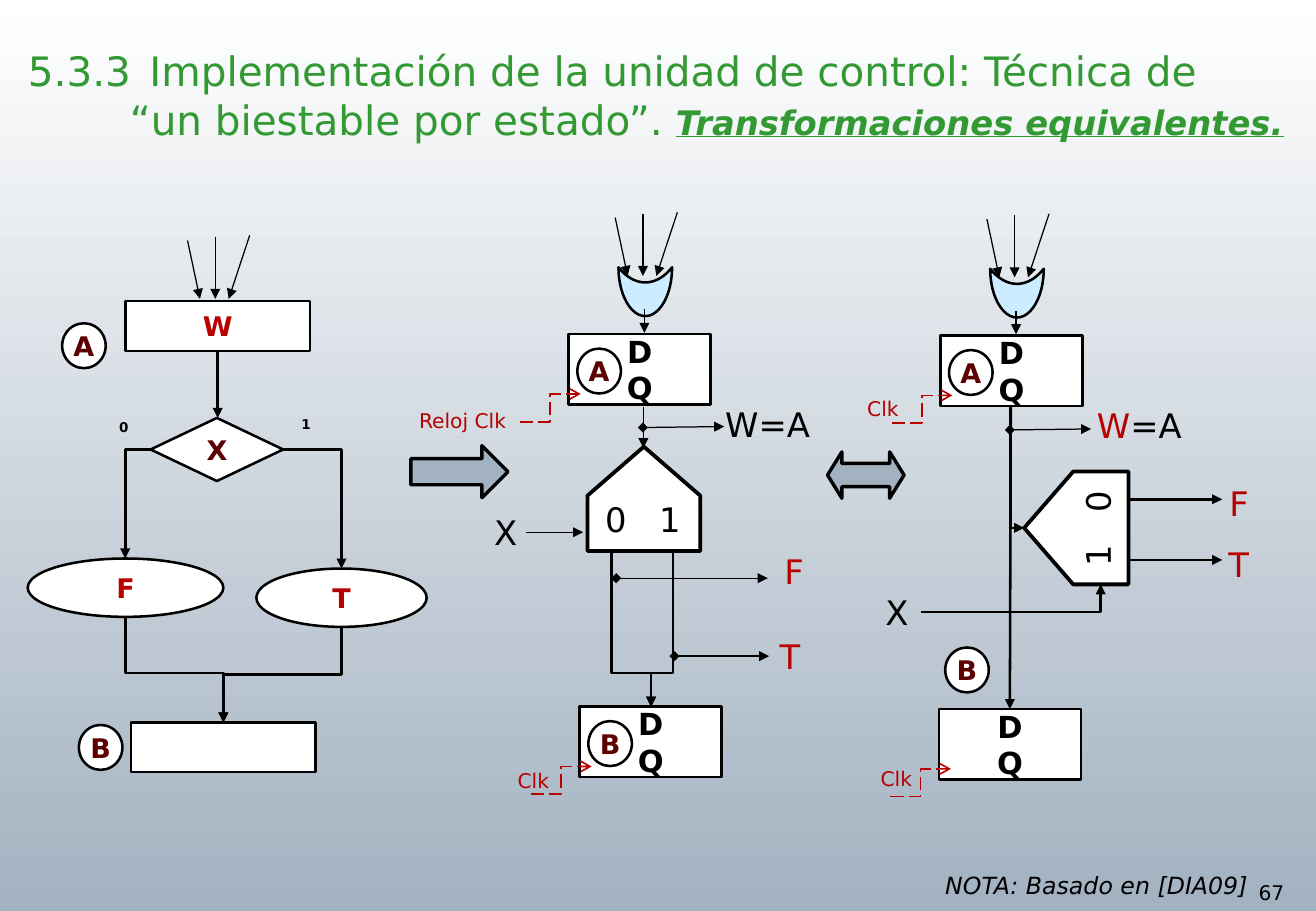
from dataclasses import dataclass
from typing import Any

from lxml.etree import SubElement as Sub
from pptx import Presentation
from pptx.dml.color import RGBColor as Rgb
from pptx.enum.dml import MSO_LINE as Dash
from pptx.enum.shapes import MSO_CONNECTOR as Conn, MSO_SHAPE as Form
from pptx.enum.text import MSO_ANCHOR as Anchor, MSO_AUTO_SIZE as Auto, PP_ALIGN as Align
from pptx.oxml.ns import qn
from pptx.util import Cm, Pt

HUES = {"black": "000000", "white": "FFFFFF", "red": "B90000", "dark": "5C0000",
        "green": "339933", "steel": "A3B2C1", "sky": "CCECFF"}
FONT = "DejaVu Sans"


def tint(name):
    """Return a palette colour."""
    return Rgb.from_string(HUES[name])


def add_run(para, text, size, hue="black", bold=False, slant=False, under=False):
    """Add one styled run to a paragraph."""
    run = para.add_run()
    run.text = text
    font = run.font
    font.name, font.size = FONT, Pt(size)
    font.bold, font.italic, font.underline = bold, slant, under
    font.color.rgb = tint(hue)


def add_tab(para, stop):
    """Give a paragraph a left tab stop."""
    tabs = Sub(para._p.get_or_add_pPr(), qn("a:tabLst"))
    Sub(tabs, qn("a:tab"), pos=str(Cm(stop)), algn="l")


@dataclass
class Box:
    """A region of the slide that draws relative to its own corner."""
    shapes: Any
    x: float
    y: float

    def spot(self, x, y):
        """Turn local centimetres into slide lengths."""
        return Cm(self.x + x), Cm(self.y + y)

    def shape(self, form, x, y, w, h, words=(), size=16, hue="black",
              fill="white", width=1.5, adj=(), turn=0):
        """Draw an outlined shape with one bold centred paragraph per word."""
        item = self.shapes.add_shape(form, *self.spot(x, y), Cm(w), Cm(h))
        item.shadow.inherit = False
        item.fill.solid()
        item.fill.fore_color.rgb = tint(fill)
        item.line.color.rgb = tint("black")
        item.line.width = Pt(width)
        item.rotation = turn
        for i, value in enumerate(adj):
            item.adjustments[i] = value
        frame = item.text_frame
        frame.margin_left = frame.margin_right = frame.margin_top = frame.margin_bottom = 0
        frame.vertical_anchor = Anchor.MIDDLE
        for i, word in enumerate(words):
            para = frame.add_paragraph() if i else frame.paragraphs[0]
            para.alignment = Align.CENTER
            add_run(para, word, size, hue, bold=True)

    def text(self, x, y, w, h, *runs, tab=0, inset=True, turn=0):
        """Place a text box; each run is (text, size, hue, ...)."""
        item = self.shapes.add_textbox(*self.spot(x, y), Cm(w), Cm(h))
        item.rotation = turn
        frame = item.text_frame
        frame.word_wrap = True
        if not inset:
            frame.margin_left = frame.margin_right = frame.margin_top = frame.margin_bottom = 0
        para = frame.paragraphs[0]
        if tab:
            add_tab(para, tab)
        for run in runs:
            add_run(para, *run)

    def sign(self, x, y, *runs):
        """Place a large signal name."""
        self.text(x, y, 2.4, 1.12, *[(word, 20, hue) for word, hue in runs])

    def line(self, start, end, width=0.75, dot=False, kind=Conn.STRAIGHT,
             hue="black", tip="triangle", dash=None):
        """Draw an arrow and return its shape properties."""
        item = self.shapes.add_connector(kind, *self.spot(*start), *self.spot(*end))
        item.line.color.rgb = tint(hue)
        item.line.width = Pt(width)
        if dash:
            item.line.dash_style = dash
        props = item._element.spPr
        edge = props.find(qn("a:ln"))
        if dot:
            Sub(edge, qn("a:headEnd"), type="diamond")
        Sub(edge, qn("a:tailEnd"), type=tip)
        Sub(props, qn("a:effectLst"))
        return props

    def bend(self, start, end, down=False, mid=None):
        """Draw a bent arrow: one corner, or two when mid is given."""
        (ax, ay), (bx, by) = start, end
        turn = 0
        if down:
            cx, cy = (ax + bx) / 2, (ay + by) / 2
            half, rise = (by - ay) / 2, abs(bx - ax) / 2
            right = bx > ax
            half, turn = (-half, 270) if right else (half, 90)
            start, end = (cx - half, cy - rise), (cx + half, cy + rise)
        props = self.line(start, end, 1.5, kind=Conn.ELBOW)
        if turn:
            props.find(qn("a:xfrm")).set("rot", str(turn * 60000))
        geom = props.find(qn("a:prstGeom"))
        if mid is None:
            geom.set("prst", "bentConnector2")
        else:
            guides = geom.find(qn("a:avLst"))
            Sub(guides, qn("a:gd"), name="adj1", fmla=f"val {round(mid * 100000)}")

    def badge(self, x, y, name):
        """Draw a round state name."""
        self.shape(Form.OVAL, x, y, 0.91, 0.94, [name], hue="dark")

    def entry(self, x, y):
        """Draw three arrows that meet."""
        for ax, ay, bx in ((0, 0, 0), (0.72, -0.03, 0.28), (-0.58, 0.08, -0.32)):
            self.line((x + ax, y + ay), (x + bx, y + 1.3))

    def flip(self, x, y, label, lx, ly, name=None):
        """Draw a D flip-flop with its clock."""
        self.shape(Form.RECTANGLE, x, y, 2.97, 1.47, ["D", "Q"], 18)
        if name:
            self.badge(x + 0.18, y + 0.3, name)
        self.text(x + lx, y + ly, 2.45, 0.76, (label, 12, "red"))
        self.line((x - 1.02, y + 1.83), (x + 0.25, y + 1.25), 1, kind=Conn.ELBOW,
                  hue="red", tip="arrow", dash=Dash.LONG_DASH)

    def state(self, x, y, label, lx, ly):
        """Draw an OR gate that feeds flip-flop A."""
        self.entry(x, y)
        self.shape(Form.MOON, x - 0.46, y + 1.07, 1.02, 1.12, fill="sky", adj=[0.69], turn=270)
        self.line((x + 0.03, y + 2), (x + 0.03, y + 2.49))
        self.flip(x - 1.55, y + 2.52, label, lx, ly, "A")

    def fork(self, x, y, turn):
        """Draw the body of a demultiplexer."""
        self.shape(Form.PENTAGON, x, y, 2.18, 2.36, width=2.25, adj=[0.47], turn=turn)


def draw_flow(box):
    """Draw the flow chart."""
    box.entry(3.92, 0.02)
    box.shape(Form.RECTANGLE, 2.04, 1.37, 3.86, 1.04, ["W"], hue="red")
    box.badge(0.72, 1.83, "A")
    box.shape(Form.FLOWCHART_DECISION, 2.57, 3.81, 2.77, 1.32, ["X"], hue="dark")
    box.shape(Form.OVAL, 0, 6.75, 4.09, 1.22, ["F"], hue="red")
    box.shape(Form.OVAL, 4.78, 6.96, 3.56, 1.22, ["T"], hue="red")
    box.shape(Form.RECTANGLE, 2.16, 10.18, 3.86, 1.04)
    box.badge(1.07, 10.23, "B")
    for x, y, digit in ((1.91, 3.83, "0"), (5.72, 3.78, "1")):
        box.text(x, y, 0.47, 0.66, (digit, 8, "black", True), inset=False)
    box.line((3.97, 2.41), (3.97, 3.81), 1.5)
    box.bend((2.57, 4.47), (2.04, 6.75))
    box.bend((5.34, 4.47), (6.56, 6.96))
    box.bend((2.04, 7.97), (4.09, 10.18), True, 0.53)
    box.bend((6.56, 8.18), (4.09, 10.18), True, 0.5)


def draw_mid(box):
    """Draw the circuit with the upright demultiplexer."""
    box.fork(3.87, 4.85, 270)
    box.text(3.9, 5.91, 2.16, 1.12, ("0\t1", 20), tab=1.13)
    box.state(4.94, 0.07, "Reloj Clk", -3.38, 1.42)
    box.line((4.95, 4.11), (4.95, 4.97))
    box.line((2.5, 6.73), (3.69, 6.73))
    box.line((4.94, 4.54), (6.64, 4.52), dot=True)
    box.line((4.38, 7.69), (7.55, 7.69), dot=True)
    box.line((5.6, 9.32), (7.58, 9.32), dot=True)
    box.sign(6.41, 3.91, ("W=A", "black"))
    box.sign(1.58, 6.17, ("X", "black"))
    box.sign(7.65, 7, ("F", "red"))
    box.sign(7.55, 8.78, ("T", "red"))
    box.flip(3.62, 10.38, "Clk", -1.55, 1.17, "B")
    for x in (5.57, 4.28):
        box.bend((x, 7.16), (5.11, 10.38), True, 0.78)


def draw_right(box):
    """Draw the circuit with the sideways demultiplexer."""
    box.fork(3.61, 5.46, 180)
    box.text(4.07, 6.06, 2.16, 1.12, ("1\t0", 20), tab=1.13, turn=270)
    box.state(3.41, 0.1, "Clk", -1.78, 1.14)
    box.line((3.31, 4.59), (5.01, 4.57), dot=True)
    box.sign(4.88, 3.93, ("W", "red"), ("=A", "black"))
    for name, x, y in (("F", 7.65, 6.04), ("T", 7.63, 7.31)):
        box.line((5.77, y), (7.75, y), 1.5)
        box.sign(x, y - 0.47, (name, "red"))
    box.sign(0.46, 7.84, ("X", "black"))
    box.bend((1.45, 8.4), (5.21, 7.82))
    box.flip(1.83, 10.43, "Clk", -1.47, 1.07)
    box.badge(1.96, 9.14, "B")
    box.bend((3.33, 4.08), (3.61, 6.64), True)
    box.line((3.33, 4.08), (3.31, 10.43), 1.5)


def draw_title(title):
    """Fill the title."""
    title.left, title.top, title.width, title.height = Cm(0.33), Cm(0.99), Cm(27.18), Cm(2.13)
    frame = title.text_frame
    frame.auto_size, frame.vertical_anchor = Auto.NONE, Anchor.BOTTOM
    first, last = frame.paragraphs[0], frame.add_paragraph()
    first.alignment = last.alignment = Align.LEFT
    add_tab(first, 2.54)
    last._p.get_or_add_pPr().set("marL", str(Cm(2.13)))
    add_run(first, "5.3.3\tImplementación de la unidad de control: Técnica de", 24, "green")
    add_run(last, "“un biestable por estado”. ", 24, "green")
    add_run(last, "Transformaciones equivalentes.", 20, "green", True, True, True)


def draw_rest(box):
    """Draw the arrows between the regions and the foot."""
    box.shape(Form.LEFT_RIGHT_ARROW, 17.3, 9.45, 1.6, 0.97, fill="steel", width=2, adj=[0.5, 0.31])
    box.shape(Form.RIGHT_ARROW, 8.59, 9.32, 2.03, 1.09, fill="steel", width=2, adj=[0.5, 0.5])
    box.text(19.51, 18.08, 7.32, 0.84, ("NOTA: Basado en [DIA09]", 14, "black", False, True))
    box.text(26.06, 18.29, 1.45, 0.76, ("67", 12))


def main():
    """Build and save the slide."""
    deck = Presentation()
    deck.slide_width, deck.slide_height = Cm(27.51), Cm(19.05)
    slide = deck.slides.add_slide(deck.slide_layouts[5])
    fill = slide.background.fill
    fill.gradient()
    fill.gradient_angle = 270
    for stop, hue in zip(fill.gradient_stops, ("white", "steel")):
        stop.color.rgb = tint(hue)
    draw_title(slide.shapes.title)
    draw_flow(Box(slide.shapes, 0.58, 4.93))
    draw_mid(Box(slide.shapes, 8.5, 4.4))
    draw_right(Box(slide.shapes, 17.8, 4.4))
    draw_rest(Box(slide.shapes, 0, 0))
    deck.save("out.pptx")


if __name__ == "__main__":
    main()
